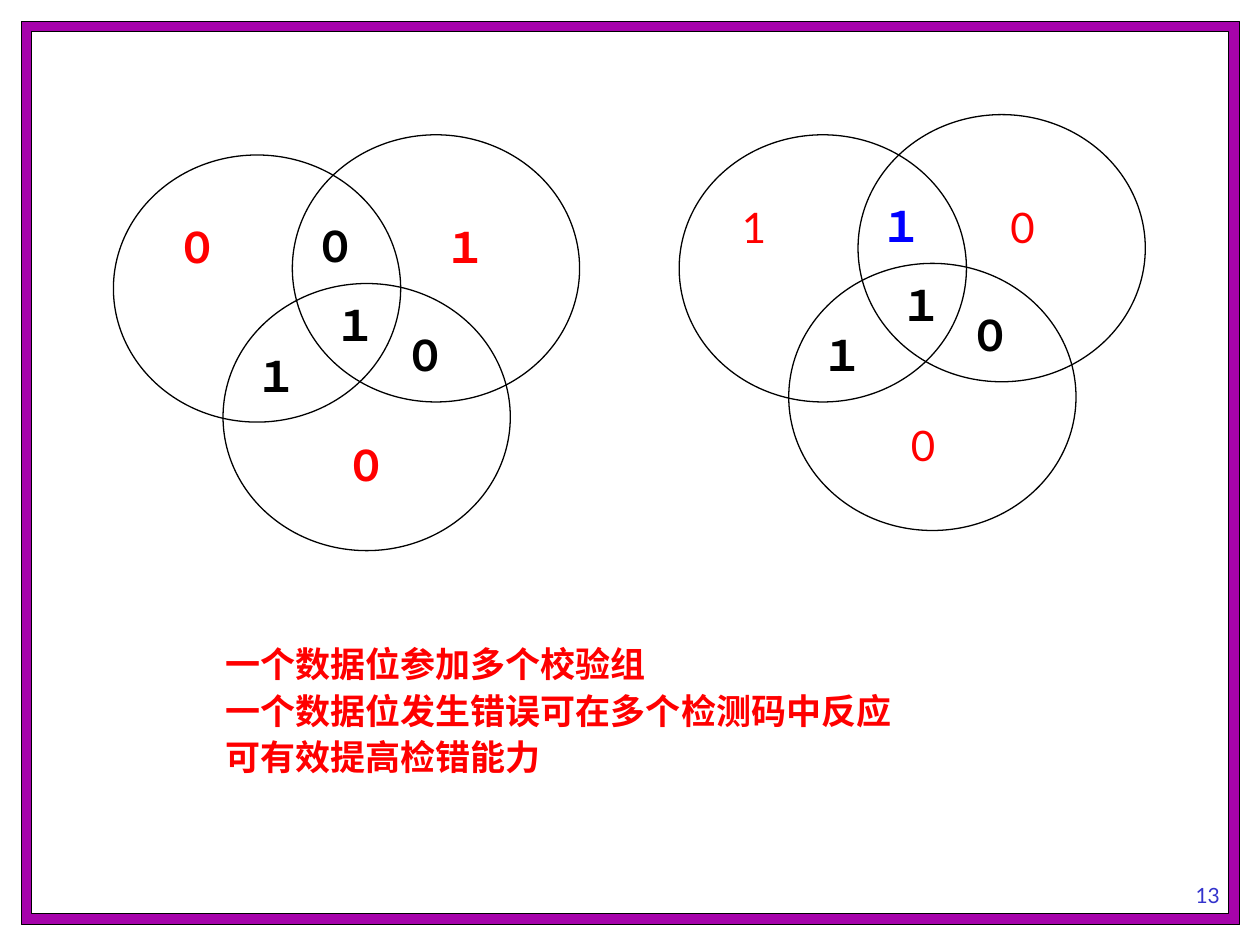
from pptx import Presentation
from pptx.dml.color import RGBColor
from pptx.enum.shapes import MSO_SHAPE
from pptx.enum.text import MSO_ANCHOR, PP_ALIGN
from pptx.util import Inches, Pt

RECT, OVAL = MSO_SHAPE.RECTANGLE, MSO_SHAPE.OVAL
TOP, BOTTOM = MSO_ANCHOR.TOP, MSO_ANCHOR.BOTTOM
LEFT, CENTER = PP_ALIGN.LEFT, PP_ALIGN.CENTER

FONT = "Lato"
COLORS = {
    "black": "000000",
    "white": "FFFFFF",
    "purple": "A603AB",
    "red": "FF0000",
    "blue": "0000FF",
    "number": "3333CC",
}
CIRCLES = [(0.87, 1.02), (1.42, -0.16), (0, 0)]
DATA_SPOTS = [(1.03, 1.5), (1.5, 0.47), (2.21, 1.34), (1.66, 1.1)]
CHECK_SPOTS = [(0.4, 0.48), (2.53, 0.48), (1.74, 2.21)]
CONCLUSIONS = [
    "一个数据位参加多个校验组",
    "一个数据位发生错误可在多个检测码中反应",
    "可有效提高检错能力",
]


def rgb(name):
    return RGBColor.from_string(COLORS[name])


def add_outline(s, kind, x, y, w, h, fill=None):
    sp = s.shapes.add_shape(kind, Inches(x), Inches(y), Inches(w), Inches(h))
    sp.shadow.inherit = False
    if fill:
        sp.fill.solid()
        sp.fill.fore_color.rgb = rgb(fill)
    else:
        sp.fill.background()
    sp.line.color.rgb = rgb("black")
    sp.line.width = Pt(0.75)


def add_text(s, lines, x, y, w, h, size=24, color="black", bold=False,
             align=LEFT, anchor=TOP, wrap=True, spacing=None, before=0):
    tf = s.shapes.add_textbox(Inches(x), Inches(y), Inches(w), Inches(h)).text_frame
    tf.word_wrap = wrap
    tf.vertical_anchor = anchor
    for i, line in enumerate(lines):
        p = tf.add_paragraph() if i else tf.paragraphs[0]
        p.alignment = align
        p.line_spacing = spacing
        if i and before:
            p.space_before = Pt(before)
        r = p.add_run()
        r.text = line
        r.font.name = FONT
        r.font.size = Pt(size)
        r.font.bold = bold
        r.font.color.rgb = rgb(color)


def add_venn(s, x, y, data_bits, check_bits, data_colors, check_width, check_bold):
    for dx, dy in CIRCLES:
        add_outline(s, OVAL, x + dx, y + dy, 2.28, 2.12)
    for bit, color, (dx, dy) in zip(data_bits, data_colors, DATA_SPOTS):
        add_text(s, [bit], x + dx, y + dy, 0.53, 0.5, color=color, bold=True, wrap=False)
    for bit, (dx, dy) in zip(check_bits, CHECK_SPOTS):
        add_text(s, [bit], x + dx, y + dy, check_width, 0.5, color="red",
                 bold=check_bold, wrap=False)


def main():
    prs = Presentation()
    prs.slide_width, prs.slide_height = Inches(10), Inches(7.5)
    s = prs.slides.add_slide(prs.slide_layouts[6])

    add_outline(s, RECT, 0.17, 0.17, 9.67, 7.17, "purple")
    add_outline(s, RECT, 0.25, 0.25, 9.5, 7, "white")
    add_text(s, ["13"], 8.67, 6.75, 1.83, 0.5, size=12, color="number",
             align=CENTER, anchor=BOTTOM)

    add_venn(s, 0.9, 1.23, "１００１", "０１０", ["black"] * 4, 0.53, True)
    add_venn(s, 5.39, 1.07, "１１０１", "100",
             ["black", "blue", "black", "black"], 0.39, False)

    add_text(s, CONCLUSIONS, 1.69, 5.09, 6.3, 1.26, size=20, color="red",
             bold=True, spacing=0.9, before=5)

    prs.save("out.pptx")


if __name__ == "__main__":
    main()
